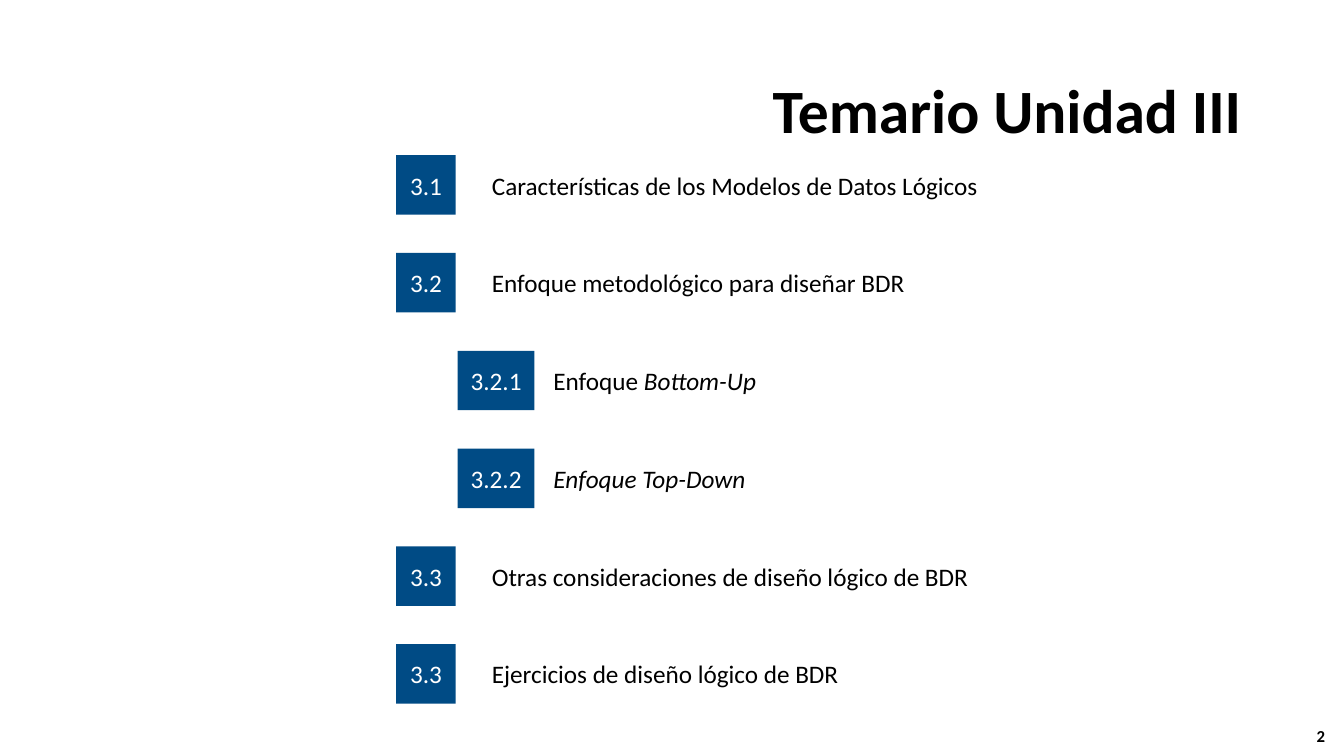
from pptx import Presentation
from pptx.dml.color import RGBColor
from pptx.enum.shapes import MSO_SHAPE
from pptx.enum.text import MSO_ANCHOR, PP_ALIGN
from pptx.util import Inches, Pt

BLUE = RGBColor(0x00, 0x4B, 0x85)
BLACK = RGBColor(0x00, 0x00, 0x00)
WHITE = RGBColor(0xFF, 0xFF, 0xFF)

FIRST_TOP, ROW_STEP, ROW_HEIGHT = 1.54, 0.97, 0.59
# Per level: number left, number width, topic left
LEVELS = [(3.93, 0.59, 4.78), (4.54, 0.76, 5.39)]

# Number, level, topic width, runs as (text, italic)
TOPICS = [
    ("3.1", 0, 6.95, [("Características de los Modelos de Datos Lógicos", False)]),
    ("3.2", 0, 7.4, [("Enfoque metodológico para diseñar BDR", False)]),
    ("3.2.1", 1, 6.95, [("Enfoque ", False), ("Bottom-Up", True)]),
    ("3.2.2", 1, 6.95, [("Enfoque Top-Down", True)]),
    ("3.3", 0, 6.95, [("Otras consideraciones de diseño lógico de BDR", False)]),
    ("3.3", 0, 6.95, [("Ejercicios de diseño lógico de BDR", False)]),
]


def write(shape, runs, size, color=BLACK, align=PP_ALIGN.LEFT, bold=False):
    """Fill a shape's first paragraph with (text, italic) runs."""
    frame = shape.text_frame
    frame.word_wrap = True
    frame.vertical_anchor = MSO_ANCHOR.MIDDLE
    paragraph = frame.paragraphs[0]
    paragraph.alignment = align
    for text, italic in runs:
        run = paragraph.add_run()
        run.text = text
        run.font.name = "Calibri"
        run.font.size = Pt(size)
        run.font.bold = bold
        run.font.italic = italic
        run.font.color.rgb = color


prs = Presentation()
prs.slide_width, prs.slide_height = Inches(13.33), Inches(7.5)
slide = prs.slides.add_slide(prs.slide_layouts[5])

title = slide.shapes.title
title.left, title.top = Inches(0.92), Inches(0.4)
title.width, title.height = Inches(11.5), Inches(1.45)
write(title, [("Temario Unidad III", False)], 44, align=PP_ALIGN.RIGHT, bold=True)
title.text_frame.paragraphs[0].line_spacing = 0.9

page_number = slide.shapes.add_textbox(
    Inches(12.87), Inches(7.1), Inches(0.46), Inches(0.4))
write(page_number, [("2", False)], 12, align=PP_ALIGN.CENTER, bold=True)

for row, (number, level, topic_width, topic_runs) in enumerate(TOPICS):
    number_left, number_width, topic_left = LEVELS[level]
    top, height = Inches(FIRST_TOP + row * ROW_STEP), Inches(ROW_HEIGHT)
    entry = slide.shapes.add_group_shape()

    number_box = entry.shapes.add_shape(
        MSO_SHAPE.RECTANGLE, Inches(number_left), top, Inches(number_width), height)
    number_box.shadow.inherit = False
    number_box.fill.solid()
    number_box.fill.fore_color.rgb = BLUE
    number_box.line.fill.background()
    write(number_box, [(number, False)], 18, WHITE, PP_ALIGN.CENTER)

    topic = entry.shapes.add_textbox(
        Inches(topic_left), top, Inches(topic_width), height)
    write(topic, topic_runs, 18)

prs.save("out.pptx")
